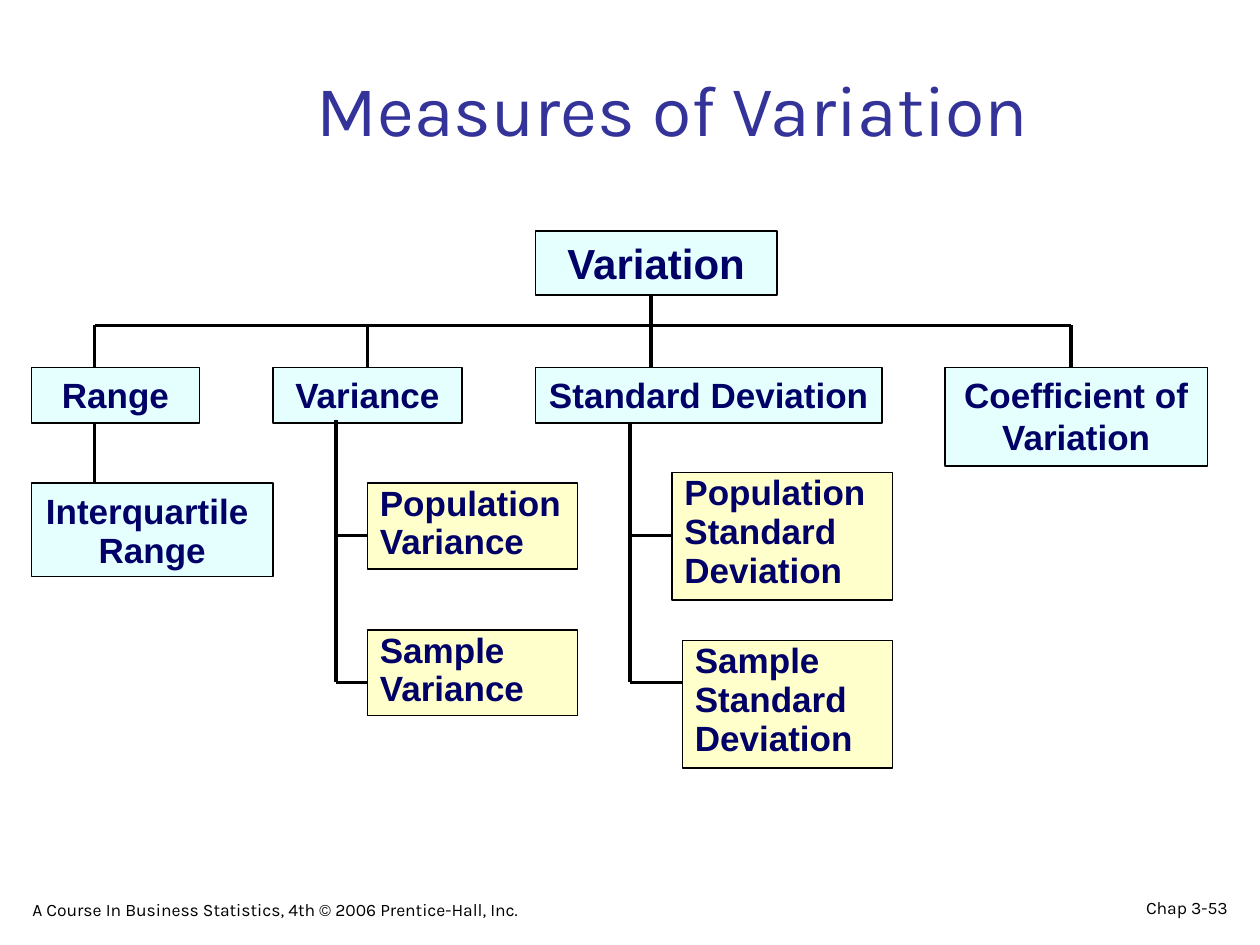
from dataclasses import dataclass

from lxml import etree
from pptx import Presentation
from pptx import util as u
from pptx.dml.color import RGBColor
from pptx.enum import shapes, text
from pptx.oxml.ns import qn

COLS, ROWS = 120, 90
WIDTH, HEIGHT = u.Inches(10), u.Inches(7.5)
ALIGN, ANCHOR = text.PP_ALIGN, text.MSO_ANCHOR


@dataclass(frozen=True)
class Theme:
    title: str = "333399"
    ink: str = "000000"
    label: str = "000066"
    main_fill: str = "E5FFFF"
    detail_fill: str = "FFFFCC"
    display_font: str = "Karla"
    label_font: str = "Arial"
    title_size: float = 41
    root_size: float = 24
    node_size: float = 20
    footer_size: float = 10
    outline: float = 1
    branch: float = 2.25


THEME = Theme()


def x(col):
    return round(col * WIDTH / COLS)


def y(row):
    return round(row * HEIGHT / ROWS)


def grid(box):
    left, top, width, height = box
    return x(left), y(top), x(width), y(height)


def write(sp, lines, font, color, align, anchor, inset, spacing):
    """Fill a shape with one paragraph for each line; spacing holds their formats."""
    tf = sp.text_frame
    frame = dict(word_wrap=True, auto_size=text.MSO_AUTO_SIZE.NONE,
                 vertical_anchor=anchor,
                 margin_left=u.Inches(inset), margin_right=u.Inches(inset),
                 margin_top=u.Inches(0.05), margin_bottom=u.Inches(0.05))
    for name, value in frame.items():
        setattr(tf, name, value)
    for i, (line, formats) in enumerate(zip(lines, spacing)):
        p = tf.paragraphs[0] if i == 0 else tf.add_paragraph()
        for name, value in dict(formats, alignment=align).items():
            setattr(p, name, value)
        r = p.add_run()
        r.text = line
        for name, value in font.items():
            setattr(r.font, name, value)
        r.font.color.rgb = RGBColor.from_string(color)


def add_caption(s, box, line, size, color, align):
    sp = s.shapes.add_textbox(*grid(box))
    write(sp, [line], dict(name=THEME.display_font, size=u.Pt(size)), color,
          align, ANCHOR.BOTTOM, 0.09, [{}])


def add_branch(s, x1, y1, x2, y2):
    cx = s.shapes.add_connector(shapes.MSO_CONNECTOR.STRAIGHT,
                                x(x1), y(y1), x(x2), y(y2))
    cx.line.width = u.Pt(THEME.branch)
    cx.line.color.rgb = RGBColor.from_string(THEME.ink)
    etree.SubElement(cx._element.spPr, qn("a:effectLst"))


def add_node(s, box, lines, fill, align=ALIGN.CENTER, size=THEME.node_size, first=1.0):
    """Draw a labelled box; first is the line spacing of its first paragraph."""
    sp = s.shapes.add_shape(shapes.MSO_SHAPE.RECTANGLE, *grid(box))
    sp.shadow.inherit = False
    sp.fill.solid()
    sp.fill.fore_color.rgb = RGBColor.from_string(fill)
    sp.line.color.rgb = RGBColor.from_string(THEME.ink)
    sp.line.width = u.Pt(THEME.outline)
    follow = dict(line_spacing=0.8, space_before=u.Pt(3))
    write(sp, lines, dict(name=THEME.label_font, size=u.Pt(size), bold=True),
          THEME.label, align, ANCHOR.TOP, 0.1,
          [dict(line_spacing=first)] + [follow] * (len(lines) - 1))


def add_tree(s, top):
    """Root, its bar and the four measures, hung from the given row."""
    bar, measures = top + 9, top + 13
    add_branch(s, 9, bar, 102, bar)
    add_branch(s, 62, top + 5, 62, bar)
    for col in (9, 35, 62, 102):
        add_branch(s, col, bar, col, measures)
    add_branch(s, 9, measures + 5, 9, measures + 11)

    add_node(s, (51, top, 23, 6.12), ["Variation"], THEME.main_fill,
             size=THEME.root_size)
    for left, width, height, label in ((3, 16, 5.3, "Range"),
                                       (26, 18, 5.3, "Variance"),
                                       (51, 33, 5.3, "Standard Deviation"),
                                       (90, 25, 9.36, "Coefficient of Variation")):
        add_node(s, (left, measures, width, height), [label], THEME.main_fill)
    add_node(s, (3, measures + 11, 23, 8.9), ["Interquartile ", "Range"],
             THEME.main_fill)


def add_details(s, trunk, start, measure, boxes):
    """Population and sample boxes that branch off one trunk column."""
    joints = (51, 65)
    add_branch(s, trunk, start, trunk, joints[-1])
    for kind, joint, box in zip(("Population", "Sample"), joints, boxes):
        add_branch(s, trunk, joint, box[0], joint)
        add_node(s, box, [kind, *measure], THEME.detail_fill, ALIGN.LEFT, first=0.8)


def main():
    prs = Presentation()
    prs.slide_width, prs.slide_height = WIDTH, HEIGHT
    s = prs.slides.add_slide(prs.slide_layouts[6])
    add_caption(s, (13, 5, 102.2, 10), "Measures of Variation",
                THEME.title_size, THEME.title, ALIGN.CENTER)
    add_tree(s, 22)
    add_details(s, 32, 40, ["Variance"],
                ((35, 46, 20, 8.16), (35, 60, 20, 8.16)))
    add_details(s, 60, 40.2, ["Standard", "Deviation"],
                ((64, 45, 21, 12.12), (65, 61, 20, 12.12)))
    add_caption(s, (2, 84, 61, 4.2),
                "A Course In Business Statistics, 4th © 2006 Prentice-Hall, Inc.",
                THEME.footer_size, THEME.ink, ALIGN.LEFT)
    add_caption(s, (93, 84, 25, 4), "Chap 3-53",
                THEME.footer_size, THEME.ink, ALIGN.RIGHT)
    prs.save("out.pptx")


if __name__ == "__main__":
    main()
